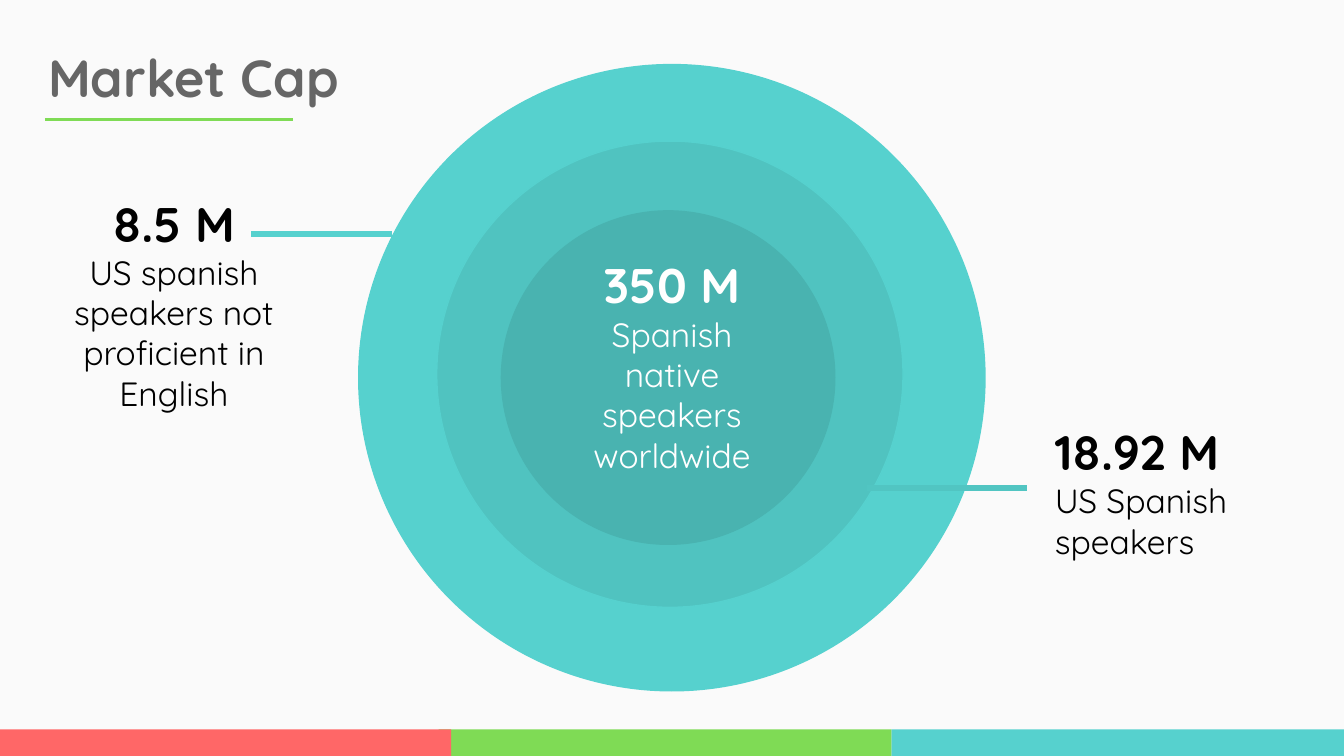
from lxml import etree
from pptx import Presentation
from pptx.dml.color import RGBColor
from pptx.enum.shapes import MSO_CONNECTOR, MSO_SHAPE
from pptx.enum.text import MSO_ANCHOR, PP_ALIGN
from pptx.oxml.ns import qn
from pptx.util import Pt

FONT = "Quicksand"
PAPER = RGBColor(0xFA, 0xFA, 0xFA)
GREY = RGBColor(0x66, 0x66, 0x66)
BLACK = RGBColor(0, 0, 0)
WHITE = RGBColor(0xFF, 0xFF, 0xFF)
RED = RGBColor(0xFF, 0x67, 0x67)
GREEN = RGBColor(0x7F, 0xDB, 0x55)
TEAL = RGBColor(0x56, 0xD1, 0xCE)
MID_TEAL = RGBColor(0x50, 0xC3, 0xC0)
DEEP_TEAL = RGBColor(0x49, 0xB3, 0xB0)
LEADER_TEAL = RGBColor(0x51, 0xC5, 0xC2)

deck = Presentation()
deck.slide_width, deck.slide_height = Pt(720), Pt(405)
page = deck.slides.add_slide(deck.slide_layouts[6])
page.background.fill.solid()
page.background.fill.fore_color.rgb = PAPER


def add_filled(kind, left, top, width, height, fill, outline=None):
    shape = page.shapes.add_shape(kind, Pt(left), Pt(top), Pt(width), Pt(height))
    shape.shadow.inherit = False
    shape.fill.solid()
    shape.fill.fore_color.rgb = fill
    if outline is None:
        shape.line.fill.background()
    else:
        shape.line.color.rgb = outline
        shape.line.width = Pt(0.75)


def add_text(left, top, width, height, align, color, lines):
    box = page.shapes.add_textbox(Pt(left), Pt(top), Pt(width), Pt(height))
    frame = box.text_frame
    frame.word_wrap = True
    frame.vertical_anchor = MSO_ANCHOR.TOP
    frame.margin_left = frame.margin_right = Pt(7.2)
    frame.margin_top = frame.margin_bottom = Pt(7.2)
    for index, (text, size, bold) in enumerate(lines):
        para = frame.add_paragraph() if index else frame.paragraphs[0]
        para.alignment = align
        span = para.add_run()
        span.text = text
        span.font.name = FONT
        span.font.size = Pt(size)
        span.font.bold = bold
        span.font.color.rgb = color


# Footer bands
for left, width, fill in [(477.5, 242.5, TEAL), (235, 242.5, GREEN), (0, 241.8, RED)]:
    add_filled(MSO_SHAPE.RECTANGLE, left, 390.75, width, 14.25, fill)

# Title
add_text(18.7, 17.3, 671, 45.4, PP_ALIGN.LEFT, GREY, [("Market Cap", 28, True)])

# Nested market circles
for left, top, size, fill, outline in [
    (192.2, 34.6, 335.5, TEAL, TEAL),
    (234, 75.6, 249.8, MID_TEAL, TEAL),
    (268.6, 113, 178.6, DEEP_TEAL, DEEP_TEAL),
]:
    add_filled(MSO_SHAPE.OVAL, left, top, size, size, fill, outline)

# Title underline and leader lines
for start, end, height, color, weight in [
    (24, 157, 64.1, GREEN, 1.5),
    (134.6, 210.2, 125.3, TEAL, 3),
    (550, 464.4, 261.4, LEADER_TEAL, 3),
]:
    line = page.shapes.add_connector(
        MSO_CONNECTOR.STRAIGHT, Pt(start), Pt(height), Pt(end), Pt(height)
    )
    line.line.color.rgb = color
    line.line.width = Pt(weight)
    etree.SubElement(line._element.spPr, qn("a:effectLst"))

# Market figures
for left, top, width, align, color, figure, label in [
    (18.7, 96.5, 149, PP_ALIGN.CENTER, BLACK, "8.5 M",
     "US spanish speakers not proficient in English"),
    (558, 218.9, 121, PP_ALIGN.LEFT, BLACK, "18.92 M", "US Spanish speakers"),
    (299.5, 129.6, 121, PP_ALIGN.CENTER, WHITE, "350 M",
     "Spanish native speakers worldwide"),
]:
    add_text(left, top, width, 105.8, align, color,
             [(figure, 26, True), (label, 18, False)])

deck.save("out.pptx")
